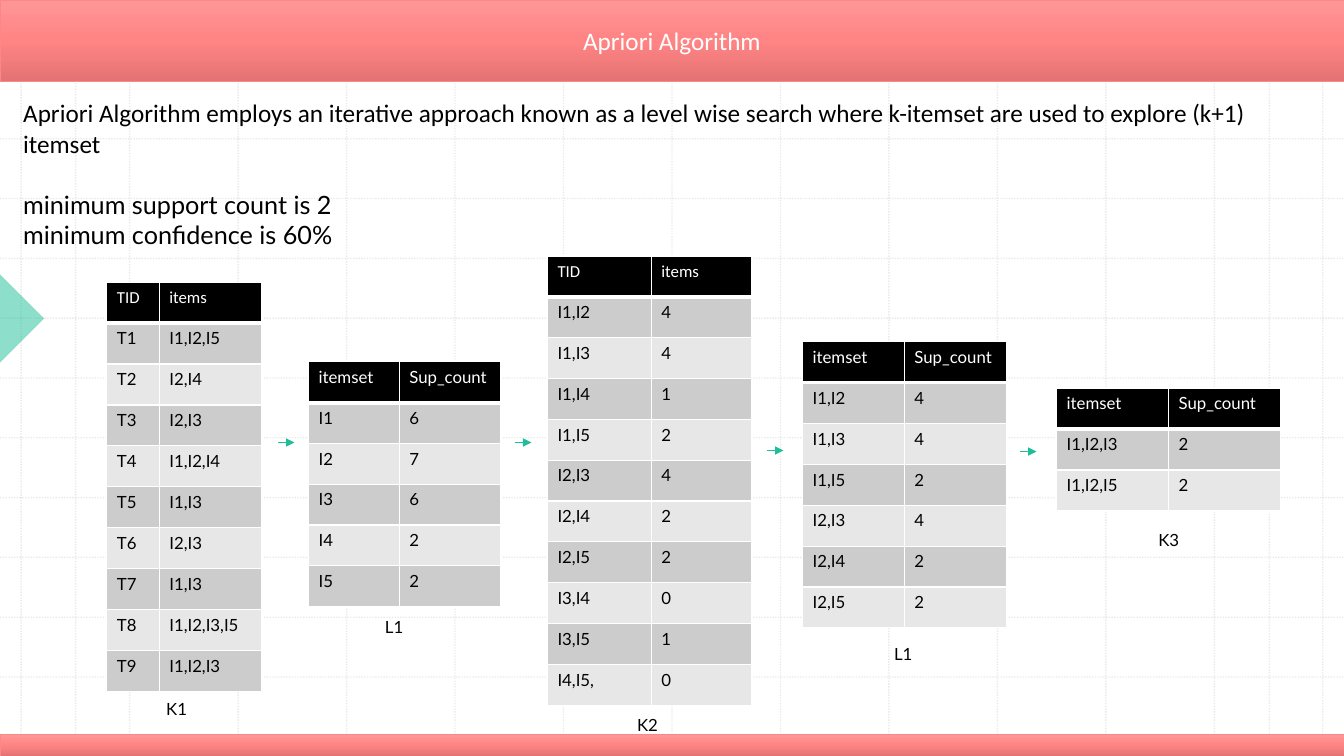
import dataclasses
import typing

import lxml.etree
import pptx
import pptx.dml.color
import pptx.enum.dml
import pptx.enum.shapes
import pptx.enum.text
import pptx.oxml.ns
import pptx.util

Inches = pptx.util.Inches
qn = pptx.oxml.ns.qn


@dataclasses.dataclass(frozen=True)
class Theme:
    black: str = "000000"
    white: str = "FFFFFF"
    accent: str = "1EBE9B"
    grid: str = "BCBCBC"
    band_line: str = "FD8686"
    band_stops: tuple[str, ...] = ("FF9696", "FF8484", "E57373")
    row_fills: tuple[str, str] = ("CCCCCC", "E7E7E7")
    heading_font: str = "Calibri"
    body_font: str = "Lato"
    heading_size: int = 18
    table_size: int = 12


THEME = Theme()
WIDTH, HEIGHT = 13.33, 7.5


@dataclasses.dataclass(frozen=True)
class ItemTable:
    left: float
    top: float
    height: float
    columns: tuple[float, float]
    header: tuple[str, str]
    rows: tuple[tuple[str, str], ...]
    caption: str
    caption_at: tuple[float, float]
    header_font: str = THEME.body_font


class Line(typing.NamedTuple):
    x1: float
    y1: float
    x2: float
    y2: float


TABLES = (
    ItemTable(1.06, 2.8, 4.06, (0.52, 1.02), ("TID", "items"),
              (("T1", "I1,I2,I5"), ("T2", "I2,I4"), ("T3", "I2,I3"),
               ("T4", "I1,I2,I4"), ("T5", "I1,I3"), ("T6", "I2,I3"),
               ("T7", "I1,I3"), ("T8", "I1,I2,I3,I5"), ("T9", "I1,I2,I3")),
              "K1", (1.55, 6.88), THEME.heading_font),
    ItemTable(3.06, 3.59, 2.43, (0.9, 1.01), ("itemset", "Sup_count"),
              (("I1", "6"), ("I2", "7"), ("I3", "6"), ("I4", "2"), ("I5", "2")),
              "L1", (3.72, 6.07)),
    ItemTable(5.43, 2.54, 4.46, (1.03, 0.99), ("TID", "items"),
              (("I1,I2", "4"), ("I1,I3", "4"), ("I1,I4", "1"), ("I1,I5", "2"),
               ("I2,I3", "4"), ("I2,I4", "2"), ("I2,I5", "2"), ("I3,I4", "0"),
               ("I3,I5", "1"), ("I4,I5,", "0")),
              "K2", (6.22, 7.04), THEME.heading_font),
    ItemTable(7.96, 3.39, 2.84, (1.01, 1.01), ("itemset", "Sup_count"),
              (("I1,I2", "4"), ("I1,I3", "4"), ("I1,I5", "2"),
               ("I2,I3", "4"), ("I2,I4", "2"), ("I2,I5", "2")),
              "L1", (8.77, 6.34)),
    ItemTable(10.48, 3.85, 1.22, (1.11, 1.11), ("itemset", "Sup_count"),
              (("I1,I2,I3", "2"), ("I1,I2,I5", "2")),
              "K3", (11.39, 5.21)),
)
ARROW_STARTS = ((2.76, 4.39), (5.11, 4.39), (7.61, 4.47), (10.12, 4.48))
ARROW_LENGTH = 0.16


def rgb(color: str) -> pptx.dml.color.RGBColor:
    return pptx.dml.color.RGBColor.from_string(color)


def write_text(paragraph, text: str, *, size: int, font: str, color: str) -> None:
    run = paragraph.add_run()
    run.text = text
    run.font.size = pptx.util.Pt(size)
    run.font.name = font
    run.font.bold = False
    run.font.color.rgb = rgb(color)


def set_opacity(element, percent: int) -> None:
    color = next(element.iter(qn("a:srgbClr")))
    lxml.etree.SubElement(color, qn("a:alpha"), val=str(percent * 1000))


def add_line(slide, line: Line, color: str, width: float):
    connector = slide.shapes.add_connector(
        pptx.enum.shapes.MSO_CONNECTOR.STRAIGHT, *map(Inches, line))
    connector.line.color.rgb = rgb(color)
    connector.line.width = pptx.util.Pt(width)
    properties = connector.element.find(qn("p:spPr"))
    lxml.etree.SubElement(properties, qn("a:effectLst"))
    return connector


def add_grid(slide) -> None:
    left, right, top, bottom, steps = 0.21, 13.12, 0.19, 7.31, 12
    lines = [Line(0.75, top, 0.75, bottom), Line(12.59, top, 12.59, bottom)]
    for step in range(steps + 1):
        x = left + step * (right - left) / steps
        y = top + step * (bottom - top) / steps
        lines += [Line(x, 0, x, HEIGHT), Line(0, y, WIDTH, y)]
    for line in lines:
        connector = add_line(slide, line, THEME.grid, 1)
        connector.line.dash_style = pptx.enum.dml.MSO_LINE.ROUND_DOT
        set_opacity(connector.element, 30)


def add_side_triangle(slide) -> None:
    triangle = slide.shapes.add_shape(
        pptx.enum.shapes.MSO_SHAPE.RIGHT_TRIANGLE, *map(Inches, (-0.31, 2.85, 0.62, 0.62)))
    triangle.rotation = 225
    triangle.shadow.inherit = False
    triangle.fill.solid()
    triangle.fill.fore_color.rgb = rgb(THEME.accent)
    triangle.line.fill.background()
    set_opacity(triangle.element, 50)


def place(shape, left: float, top: float, width: float, height: float) -> None:
    shape.left, shape.top = Inches(left), Inches(top)
    shape.width, shape.height = Inches(width), Inches(height)


def format_band(shape) -> None:
    shape.shadow.inherit = False
    shape.fill.gradient()
    shape.fill.gradient_angle = 270
    stops = next(shape.element.iter(qn("a:gsLst")))
    for stop in list(stops):
        stops.remove(stop)
    for index, color in enumerate(THEME.band_stops):
        stop = lxml.etree.SubElement(stops, qn("a:gs"), pos=str(index * 50000))
        lxml.etree.SubElement(stop, qn("a:srgbClr"), val=color)
    shape.line.color.rgb = rgb(THEME.band_line)
    shape.line.width = pptx.util.Pt(0.5)


def fill_title(slide) -> None:
    title = slide.shapes.title
    slide.shapes.element.append(title.element)
    place(title, 0, 0, WIDTH, 0.81)
    format_band(title)
    title.text_frame.auto_size = pptx.enum.text.MSO_AUTO_SIZE.NONE
    title.text_frame.vertical_anchor = pptx.enum.text.MSO_ANCHOR.MIDDLE
    paragraph = title.text_frame.paragraphs[0]
    paragraph.alignment = pptx.enum.text.PP_ALIGN.CENTER
    write_text(paragraph, "Apriori Algorithm", size=THEME.heading_size,
               font=THEME.heading_font, color=THEME.white)


def fill_body(slide) -> None:
    body = slide.placeholders[1]
    slide.shapes.element.append(body.element)
    place(body, 0.13, 0.92, 12.89, 1.62)
    frame = body.text_frame
    frame.auto_size = pptx.enum.text.MSO_AUTO_SIZE.NONE
    entries = (
        ("Apriori Algorithm employs an iterative approach known as a level wise search "
         "where k-itemset are used to explore (k+1) itemset", THEME.heading_font, 0),
        ("minimum support count is 2", THEME.body_font, 22),
        ("minimum confidence is 60%", THEME.body_font, 0),
    )
    for index, (text, font, space) in enumerate(entries):
        paragraph = frame.add_paragraph() if index else frame.paragraphs[0]
        paragraph.space_before = pptx.util.Pt(space)
        properties = paragraph._p.get_or_add_pPr()
        properties.set("marL", "0")
        properties.set("indent", "0")
        lxml.etree.SubElement(properties, qn("a:buNone"))
        write_text(paragraph, text, size=THEME.heading_size, font=font, color=THEME.black)


def set_borders(cell, row: int) -> None:
    properties = cell._tc.get_or_add_tcPr()
    for side in "LRTB":
        heavy = (row, side) in ((0, "B"), (1, "T"))
        width = pptx.util.Pt(3 if heavy else 1)
        border = lxml.etree.SubElement(properties, qn(f"a:ln{side}"), w=str(width))
        fill = lxml.etree.SubElement(border, qn("a:solidFill"))
        lxml.etree.SubElement(fill, qn("a:srgbClr"), val=THEME.white)


def add_item_table(slide, item: ItemTable) -> None:
    rows = (item.header, *item.rows)
    frame = slide.shapes.add_table(len(rows), 2, *map(
        Inches, (item.left, item.top, sum(item.columns), item.height)))
    table = frame.table
    table.horz_banding = False
    for column, width in zip(table.columns, item.columns):
        column.width = Inches(width)
    for row, values in enumerate(rows):
        for column, text in enumerate(values):
            cell = table.cell(row, column)
            set_borders(cell, row)
            cell.fill.solid()
            cell.fill.fore_color.rgb = rgb(THEME.row_fills[(row - 1) % 2] if row else THEME.black)
            write_text(cell.text_frame.paragraphs[0], text, size=THEME.table_size,
                       font=THEME.body_font if row else item.header_font,
                       color=THEME.black if row else THEME.white)
    caption = slide.shapes.add_textbox(*map(Inches, (*item.caption_at, 0.4, 0.3)))
    caption.text_frame.word_wrap = False
    caption.text_frame.margin_right = 0
    write_text(caption.text_frame.paragraphs[0], item.caption, size=THEME.table_size,
               font=THEME.body_font, color=THEME.black)


def main() -> None:
    presentation = pptx.Presentation()
    presentation.slide_width, presentation.slide_height = Inches(WIDTH), Inches(HEIGHT)
    slide = presentation.slides.add_slide(presentation.slide_layouts[1])
    add_grid(slide)
    add_side_triangle(slide)
    footer = slide.shapes.add_shape(
        pptx.enum.shapes.MSO_SHAPE.RECTANGLE, *map(Inches, (0, 7.29, WIDTH, 0.21)))
    format_band(footer)
    fill_title(slide)
    fill_body(slide)
    for item in TABLES:
        add_item_table(slide, item)
    for x, y in ARROW_STARTS:
        arrow = add_line(slide, Line(x, y, x + ARROW_LENGTH, y), THEME.accent, 0.5)
        outline = next(arrow.element.iter(qn("a:ln")))
        lxml.etree.SubElement(outline, qn("a:tailEnd"), type="triangle")
    presentation.save("out.pptx")


if __name__ == "__main__":
    main()
